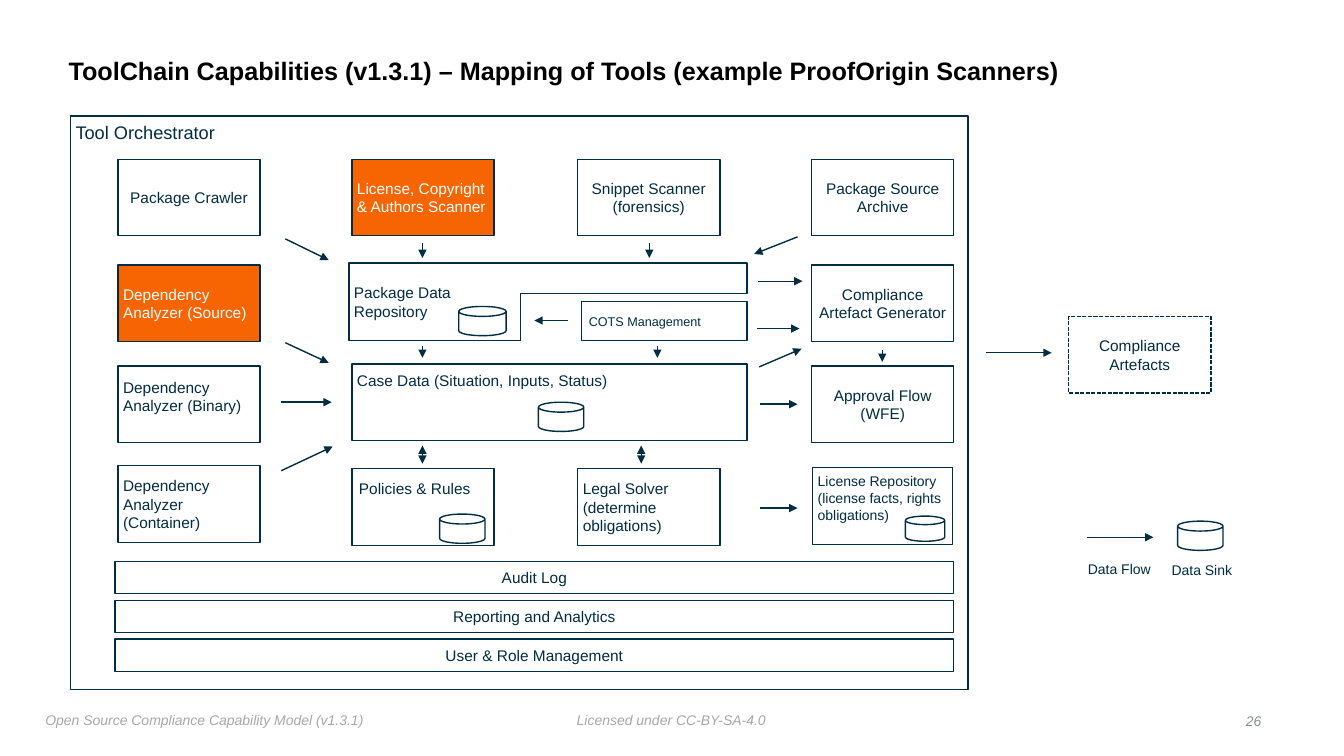
"""Build the toolchain capability map slide."""
from lxml.etree import SubElement
from pptx import Presentation
from pptx.dml.color import RGBColor
from pptx.enum.dml import MSO_LINE
from pptx.enum.shapes import MSO_CONNECTOR, MSO_SHAPE
from pptx.enum.text import MSO_ANCHOR, MSO_AUTO_SIZE, PP_ALIGN
from pptx.oxml.ns import qn
from pptx.util import Inches, Pt

NAVY, WHITE, ORANGE, GREY = "002D41", "FFFFFF", "F76503", "A7A7A7"
LEFT, MID, RIGHT = PP_ALIGN.LEFT, PP_ALIGN.CENTER, PP_ALIGN.RIGHT


def paint(shape, fill=WHITE):
    shape.shadow.inherit = False
    shape.fill.solid()
    shape.fill.fore_color.rgb = RGBColor.from_string(fill)
    shape.line.color.rgb = RGBColor.from_string(NAVY)
    shape.line.width = Pt(1)


def write(shape, text, size, tone=NAVY, align=LEFT, top=None, left=0.05,
          right=0.05, wrap=True):
    frame = shape.text_frame
    frame.auto_size = MSO_AUTO_SIZE.NONE
    frame.word_wrap = wrap
    frame.vertical_anchor = MSO_ANCHOR.MIDDLE if top is None else MSO_ANCHOR.TOP
    frame.margin_top = Inches(0.05 if top is None else top)
    frame.margin_bottom = Inches(0.05)
    frame.margin_left, frame.margin_right = Inches(left), Inches(right)
    para = frame.paragraphs[0]
    para.alignment = align
    for i, line in enumerate(text.split("\n")):
        if i:
            para.add_line_break()
        run = para.add_run()
        run.text = line
        run.font.name = "Arial"
        run.font.size = Pt(size)
        run.font.color.rgb = RGBColor.from_string(tone)
    return para


deck = Presentation()
deck.slide_width, deck.slide_height = Inches(13.33), Inches(7.5)
slide = deck.slides.add_slide(deck.slide_layouts[5])
shapes = slide.shapes

title = shapes.title
title.left, title.top = Inches(0.63), Inches(0.39)
title.width, title.height = Inches(10.75), Inches(0.65)
head = write(title, "ToolChain Capabilities (v1.3.1) – Mapping of Tools "
             "(example ProofOrigin Scanners)", 18, "000000")
head.line_spacing = 0.9
head.runs[0].font.bold = True

frame = shapes.add_shape(MSO_SHAPE.RECTANGLE, Inches(0.7), Inches(1.15),
                         Inches(8.9), Inches(5.69))
paint(frame)
write(frame, "Tool Orchestrator", 13, top=0.05)

W, H = 1.41, 0.76
COLS = (1.17, 3.49, 5.73, 8.05)
ROWS = (1.58, 2.63, 3.63, 4.65)
boxes = [
    ("Package Crawler", COLS[0], ROWS[0], W, H, WHITE, 11, MID, None, 0.05),
    ("License, Copyright & Authors Scanner", COLS[1], ROWS[0], W, H, ORANGE, 11, LEFT, None, 0.05),
    ("Snippet Scanner\n(forensics)", COLS[2], ROWS[0], W, H, WHITE, 11, MID, None, 0.05),
    ("Package Source Archive", COLS[3], ROWS[0], W, H, WHITE, 11, MID, None, 0.05),
    ("Dependency Analyzer (Source)", COLS[0], ROWS[1], W, H, ORANGE, 11, LEFT, None, 0.05),
    ("COTS Management", 5.77, 2.99, 1.64, 0.39, WHITE, 9, LEFT, None, 0.07),
    ("Compliance Artefact Generator", COLS[3], ROWS[1], W, H, WHITE, 11, MID, None, 0.05),
    ("Dependency Analyzer (Binary)", COLS[0], ROWS[2], W, H, WHITE, 11, LEFT, 0.12, 0.05),
    ("Case Data (Situation, Inputs, Status)", COLS[1], 3.61, 3.92, H, WHITE, 11, LEFT, 0.07, 0.05),
    ("Approval Flow (WFE)", COLS[3], ROWS[2], W, H, WHITE, 11, MID, None, 0.05),
    ("Dependency Analyzer (Container)", COLS[0], 4.62, W, H, WHITE, 11, LEFT, None, 0.05),
    ("Policies & Rules", COLS[1], ROWS[3], W, H, WHITE, 11, LEFT, 0.1, 0.07),
    ("Legal Solver (determine obligations)", COLS[2], ROWS[3], W, H, WHITE, 11, LEFT, None, 0.05),
    ("License Repository (license facts, rights obligations)", 8.06, 4.64, 1.39, H, WHITE, 10, LEFT, 0.05, 0.05),
    ("Compliance Artefacts", 10.6, 3.14, W, H, WHITE, 11, MID, None, 0.05),
]
for i, text in enumerate(("Audit Log", "Reporting and Analytics", "User & Role Management")):
    boxes.append((text, 1.14, 5.57 + 0.385 * i, 8.32, 0.32, WHITE, 11, MID, None, 0.05))
for text, x, y, w, h, fill, size, align, top, left in boxes:
    box = shapes.add_shape(MSO_SHAPE.RECTANGLE, Inches(x), Inches(y), Inches(w), Inches(h))
    paint(box, fill)
    write(box, text, size, WHITE if fill == ORANGE else NAVY, align, top, left)
    if text == "Compliance Artefacts":
        box.line.dash_style = MSO_LINE.SQUARE_DOT

path = [(7.41, 2.61), (7.41, 2.91), (5.16, 2.91), (5.16, 3.38), (3.46, 3.38)]
pen = shapes.build_freeform(Inches(3.46), Inches(2.61))
pen.add_line_segments([(Inches(x), Inches(y)) for x, y in path], close=True)
store = pen.convert_to_shape()
paint(store)
write(store, "Package Data Repository", 11, right=2.3)

for x, y, w, h in ((4.55, 3.04, 0.47, 0.29), (5.34, 3.99, 0.45, 0.29),
                   (4.36, 5.1, 0.45, 0.29), (8.98, 5.12, 0.39, 0.25),
                   (11.68, 5.17, 0.45, 0.29)):
    sink = shapes.add_shape(MSO_SHAPE.CAN, Inches(x), Inches(y), Inches(w), Inches(h))
    sink.adjustments[0] = 0.34
    paint(sink)

ONE, BOTH = ("tailEnd",), ("headEnd", "tailEnd")
flows = [
    (2.83, 2.37, 3.26, 2.58, ONE), (2.83, 3.4, 3.26, 3.6, ONE),
    (2.79, 3.99, 3.29, 3.99, ONE), (2.79, 4.67, 3.3, 4.43, ONE),
    (4.19, 2.41, 4.19, 2.56, ONE), (6.44, 2.41, 6.44, 2.56, ONE),
    (4.19, 3.43, 4.19, 3.55, ONE), (6.52, 3.43, 6.52, 3.55, ONE),
    (4.19, 4.6, 4.19, 4.42, BOTH), (6.36, 4.6, 6.36, 4.42, BOTH),
    (5.63, 3.18, 5.3, 3.18, ONE), (7.91, 2.35, 7.48, 2.52, ONE),
    (7.52, 2.79, 7.96, 2.79, ONE), (7.51, 3.26, 7.93, 3.26, ONE),
    (7.53, 3.64, 7.95, 3.46, ONE), (7.54, 4.01, 7.91, 4.01, ONE),
    (7.54, 5.04, 7.91, 5.04, ONE), (8.75, 3.47, 8.75, 3.59, ONE),
    (9.78, 3.5, 10.43, 3.5, ONE), (10.78, 5.33, 11.44, 5.33, ONE),
]
for x, y, to_x, to_y, ends in flows:
    flow = shapes.add_connector(MSO_CONNECTOR.STRAIGHT, Inches(x), Inches(y),
                                Inches(to_x), Inches(to_y))
    flow.line.color.rgb = RGBColor.from_string(NAVY)
    flow.line.width = Pt(1)
    for end in ends:
        SubElement(flow.line._get_or_add_ln(), qn("a:" + end), type="triangle")
    SubElement(flow._element.spPr, qn("a:effectLst"))

for text, x, y, w, tone, align in (
        ("Data Flow", 10.74, 5.51, 0.74, NAVY, LEFT),
        ("Data Sink", 11.57, 5.52, 0.7, NAVY, LEFT),
        ("Open Source Compliance Capability Model (v1.3.1)", 0.4, 7.01, 3.36, GREY, LEFT),
        ("Licensed under CC-BY-SA-4.0", 5.67, 7.01, 1.99, GREY, LEFT),
        ("26", 12.31, 7.02, 0.25, "888C91", RIGHT)):
    note = shapes.add_textbox(Inches(x), Inches(y), Inches(w), Inches(0.27))
    para = write(note, text, 10, tone, align, top=0.05, wrap=False)
    para.runs[0].font.italic = tone != NAVY

deck.save("out.pptx")
